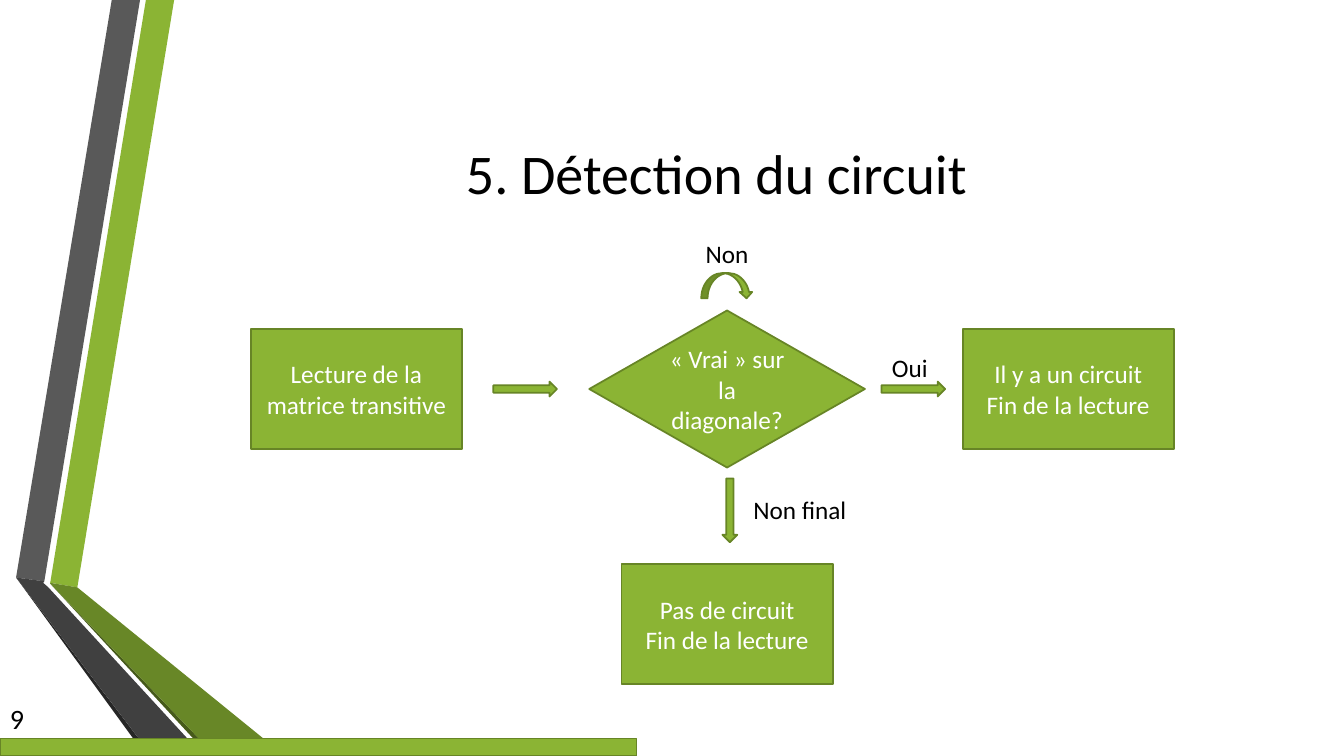
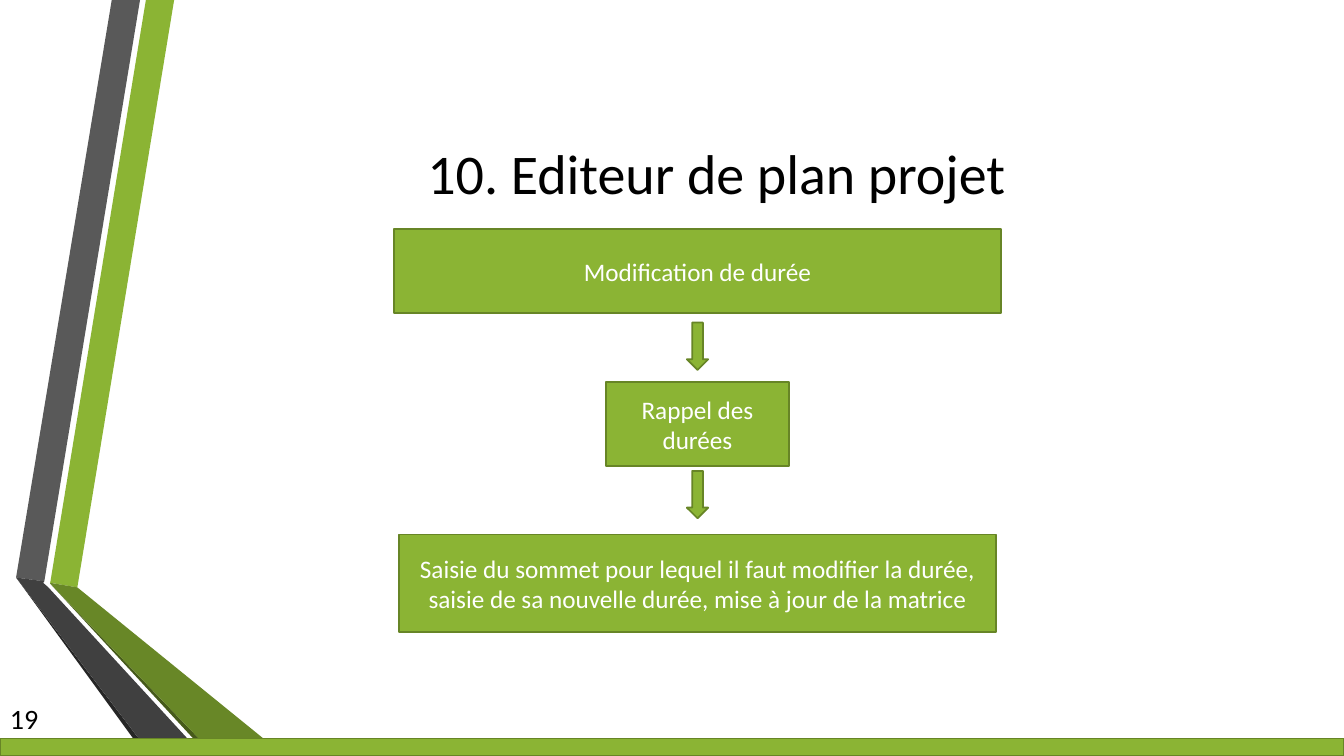
"""Two flow-chart slides with a shared ribbon, title, page number and progress bar."""
import dataclasses

import pptx
import pptx.dml.color
import pptx.enum.shapes
import pptx.enum.text
import pptx.util

SHAPE = pptx.enum.shapes.MSO_SHAPE
ALIGN = pptx.enum.text.PP_ALIGN
ANCHOR = pptx.enum.text.MSO_ANCHOR
AUTO_SIZE = pptx.enum.text.MSO_AUTO_SIZE


@dataclasses.dataclass(frozen=True)
class Theme:
    """Colours, type sizes and line width of the deck."""
    green: str = "8BB434"
    outline: str = "678526"
    green_fold: str = "688727"
    green_edge: str = "465A1A"
    grey: str = "595959"
    grey_fold: str = "404040"
    grey_edge: str = "262626"
    ink: str = "000000"
    paper: str = "FFFFFF"
    font: str = "Calibri"
    title: int = 40
    page: int = 20
    body: int = 18
    line: float = 1.25


@dataclasses.dataclass(frozen=True)
class Box:
    """A region in EMU whose areas are given in percent of its size."""
    left: int
    top: int
    width: int
    height: int

    def point(self, x, y):
        """Return the position at x and y percent."""
        return (round(self.left + self.width * x / 100),
                round(self.top + self.height * y / 100))

    def area(self, x, y, width, height):
        """Return an area by its top left corner."""
        return Box(*self.point(x, y), round(self.width * width / 100),
                   round(self.height * height / 100))

    def centred(self, x, y, width, height):
        """Return an area by its centre."""
        return self.area(x - width / 2, y - height / 2, width, height)

    @property
    def frame(self):
        """Return left, top, width and height."""
        return self.left, self.top, self.width, self.height


THEME = Theme()
PAGE = Box(0, 0, pptx.util.Inches(13.33), pptx.util.Inches(7.5))
TITLE = PAGE.area(12.2, 10, 82.2, 25.6)
RIBBON = PAGE.area(1.2, 0, 20, 100)
PAGE_COUNT = 19

RIBBON_FACES = [
    (THEME.green, [(12.7, 77.1), (22.8, 77.7), (58.8, 0), (48.3, 0)]),
    (THEME.grey, [(46.1, 0), (35.6, 0), (0, 76.4), (10.5, 76.9)]),
    (THEME.grey_edge, [(0, 76.4), (48.3, 100), (50.6, 100)]),
    (THEME.green_edge, [(12.7, 77.2), (71.9, 100), (74.2, 100)]),
    (THEME.green_fold, [(12.7, 77.2), (74.2, 100), (100, 100), (22.8, 77.7),
                        (12.7, 77.1)]),
    (THEME.grey_fold, [(69.7, 100), (12, 77.7), (10.1, 77.1), (10.5, 76.9),
                       (0, 76.4), (50.6, 100)]),
]


def apply(target, values):
    """Set attributes of target from a dict of format values."""
    for attribute, value in values.items():
        setattr(target, attribute, value)


def rgb(colour):
    """Return a colour object from its hex digits."""
    return pptx.dml.color.RGBColor.from_string(colour)


def write(frame, text, size, colour, align=ALIGN.CENTER, **frame_format):
    """Fill a text frame with formatted paragraphs, one per line of text."""
    frame.text = text
    apply(frame, {"word_wrap": True, **frame_format})
    for paragraph in frame.paragraphs:
        paragraph.alignment = align
        apply(paragraph.font, {"name": THEME.font, "bold": False,
                               "size": pptx.util.Pt(size)})
        paragraph.font.color.rgb = rgb(colour)


def paint(shape, fill):
    """Give a shape a flat fill without shadow."""
    shape.shadow.inherit = False
    shape.fill.solid()
    shape.fill.fore_color.rgb = rgb(fill)


def add_block(slide, kind, box, text="", rotation=0):
    """Add a green outlined shape, with white text if there is any."""
    block = slide.shapes.add_shape(kind, *box.frame)
    paint(block, THEME.green)
    block.line.color.rgb = rgb(THEME.outline)
    block.line.width = pptx.util.Pt(THEME.line)
    block.rotation = rotation
    if text:
        write(block.text_frame, text, THEME.body, THEME.paper,
              vertical_anchor=ANCHOR.MIDDLE)


def add_label(slide, box, text, size=THEME.body, align=ALIGN.CENTER, **frame_format):
    """Add a line of dark text."""
    label = slide.shapes.add_textbox(*box.frame)
    write(label.text_frame, text, size, THEME.ink, align, **frame_format)


def add_ribbon(slide, box):
    """Draw the folded ribbon and hand it to the layout of the slide."""
    for colour, outline in RIBBON_FACES:
        start, *others = [box.point(x, y) for x, y in outline]
        builder = slide.shapes.build_freeform(*start)
        builder.add_line_segments(others, close=True)
        face = builder.convert_to_shape()
        paint(face, colour)
        face.line.fill.background()
        slide.slide_layout.shapes._spTree.append(face._element)


def add_footer(slide, box, number):
    """Add the page number and a bar that shows the progress."""
    add_label(slide, box.area(0, 92.3, 4.5, 5.3), str(number), THEME.page,
              ALIGN.LEFT, vertical_anchor=ANCHOR.MIDDLE)
    add_block(slide, SHAPE.RECTANGLE,
              box.area(0, 97.7, 100 * number / PAGE_COUNT, 2.3))


def add_circuit_flow(slide, box):
    """Place the decision with its loop, its input and its two outcomes."""
    middle, row, process = 51.6, 34.6, (22.9, 26.6)
    steps = [
        (11.4, row, "Lecture de la matrice transitive"),
        (88.6, row, "Il y a un circuit\nFin de la lecture"),
        (middle, 86.7, "Pas de circuit\nFin de la lecture"),
    ]
    for x, y, text in steps:
        add_block(slide, SHAPE.FLOWCHART_PROCESS, box.centred(x, y, *process), text)
    add_block(slide, SHAPE.FLOWCHART_DECISION, box.centred(middle, row, 29.9, 34.8),
              "«\u00a0Vrai\u00a0» sur la diagonale?")
    for x, y, rotation in [(29.7, row, 0), (71.8, row, 0), (51.9, 61.5, 90)]:
        add_block(slide, SHAPE.RIGHT_ARROW, box.centred(x, y, 6.9, 3.3),
                  rotation=rotation)
    add_block(slide, SHAPE.CURVED_DOWN_ARROW, box.centred(middle, 11.7, 5.6, 5.6))
    answers = [
        (73.6, 29.9, 10.4, "Oui", ALIGN.LEFT),
        (middle, 4.5, 10.4, "Non", ALIGN.CENTER),
        (59.5, 61.2, 14, "Non final", ALIGN.CENTER),
    ]
    for x, y, width, text, align in answers:
        add_label(slide, box.centred(x, y, width, 8.9), text, align=align,
                  auto_size=AUTO_SIZE.SHAPE_TO_FIT_TEXT)


def add_duration_flow(slide, box):
    """Stack the three steps of a change of duration."""
    steps = [
        (10.4, 100, 20.8, "Modification de durée"),
        (48.4, 30.1, 20.8, "Rappel des durées"),
        (87.9, 98.3, 24.2, "Saisie du sommet pour lequel il faut modifier la durée, "
                           "saisie de sa nouvelle durée, mise à jour de la matrice"),
    ]
    for y, width, height, text in steps:
        add_block(slide, SHAPE.FLOWCHART_PROCESS,
                  box.centred(50, y, width, height), text)
    for y in (29.1, 65.9):
        add_block(slide, SHAPE.RIGHT_ARROW, box.centred(50, y, 7.8, 5.3), rotation=90)


def add_slide(deck, number, title, add_flow, flow_box):
    """Add a titled slide with its flow chart and footer."""
    slide = deck.slides.add_slide(deck.slide_layouts[5])
    heading = slide.shapes.title
    apply(heading, dict(zip(("left", "top", "width", "height"), TITLE.frame)))
    write(heading.text_frame, title, THEME.title, THEME.ink,
          vertical_anchor=ANCHOR.MIDDLE)
    add_flow(slide, flow_box)
    add_footer(slide, PAGE, number)
    return slide


def main():
    """Build and save the deck."""
    deck = pptx.Presentation()
    apply(deck, {"slide_width": PAGE.width, "slide_height": PAGE.height})
    circuit = add_slide(deck, 9, "5. Détection du circuit", add_circuit_flow,
                        PAGE.area(18.7, 30.8, 68.6, 59.7))
    add_ribbon(circuit, RIBBON)
    add_slide(deck, 19, "10. Editeur de plan projet", add_duration_flow,
              PAGE.area(29.3, 30.3, 45.2, 53.3))
    deck.save("out.pptx")


main()
